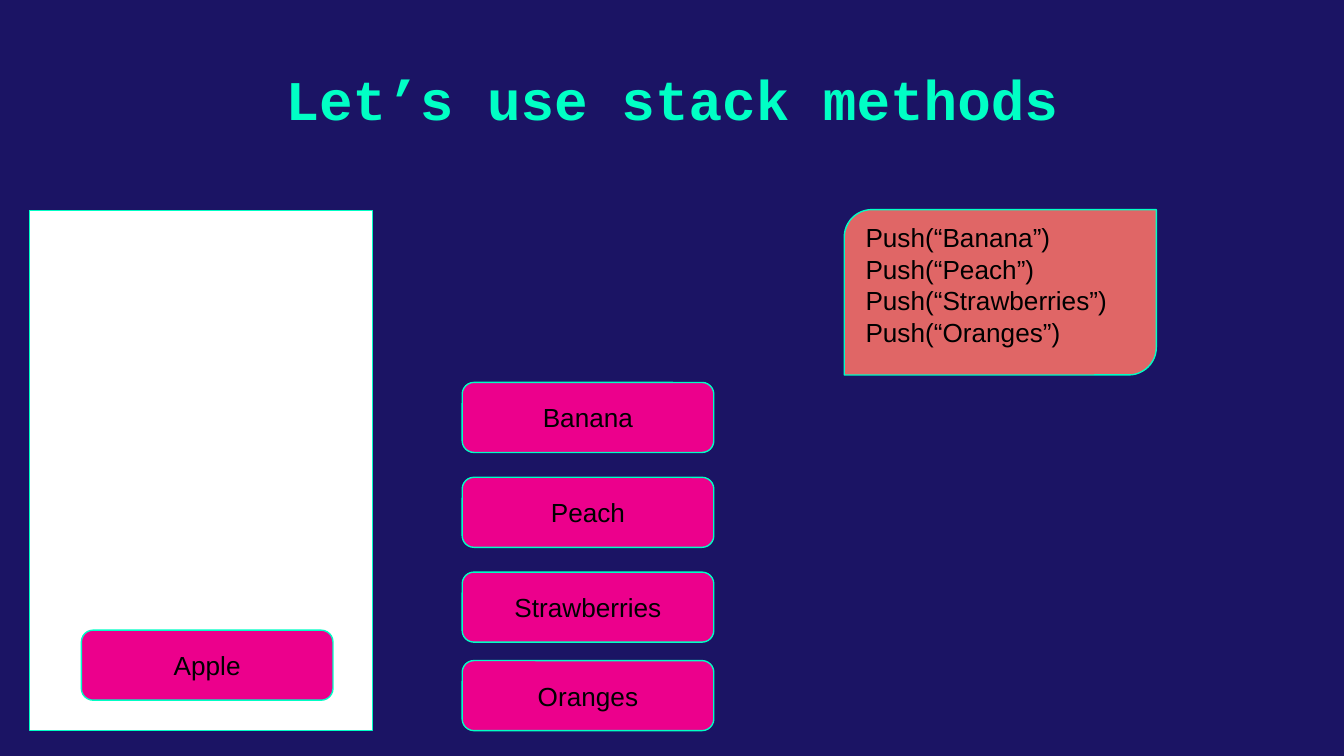
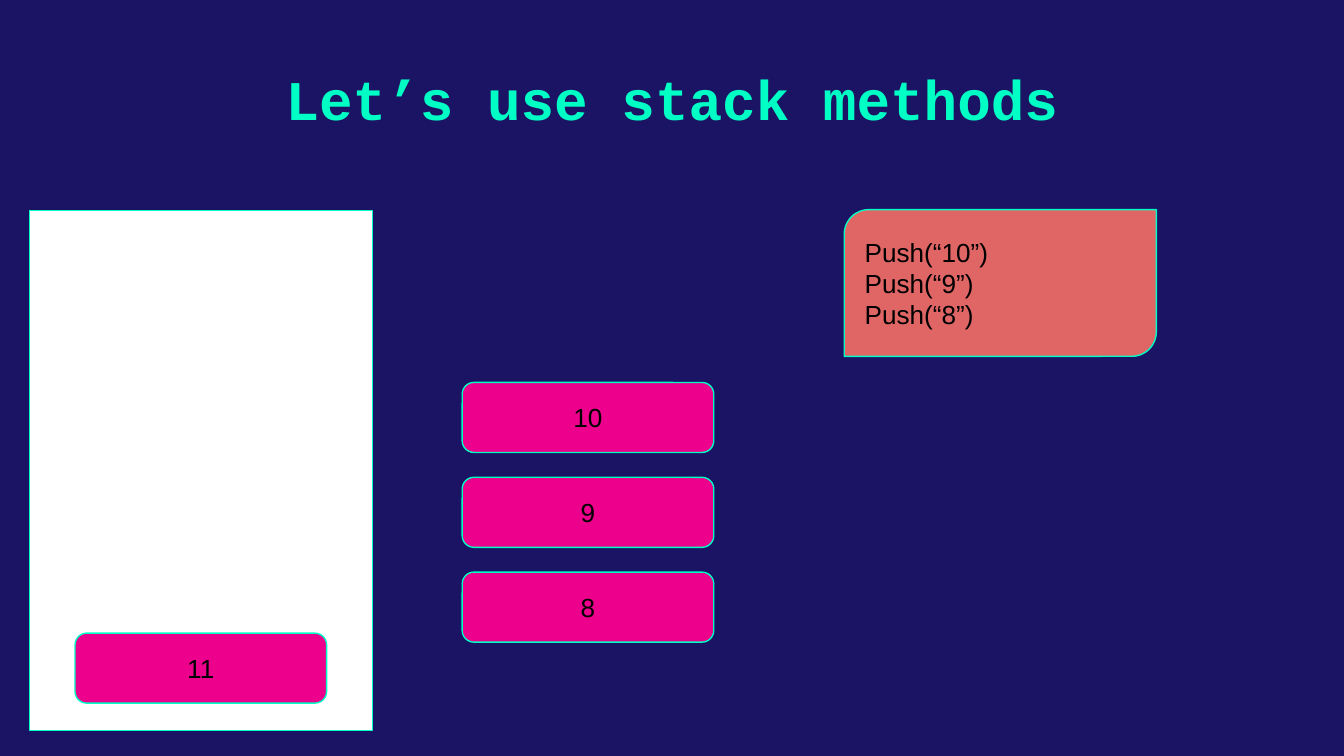
import pptx
import pptx.util
import pptx.dml.color
import pptx.enum.shapes
import pptx.enum.text

Pt = pptx.util.Pt
RGB = pptx.dml.color.RGBColor
KIND = pptx.enum.shapes.MSO_SHAPE
ALIGN = pptx.enum.text.PP_ALIGN
ANCHOR = pptx.enum.text.MSO_ANCHOR

TITLE = "Let’s use stack methods"
DECKS = [
    {
        "base": ("Apple", 43.6, 337.6),
        "items": ["Banana", "Peach", "Strawberries", "Oranges"],
        "tall": 88.6,
        "anchor": ANCHOR.TOP,
        "inset": 2.2,
    },
    {
        "base": ("11", 40.2, 339.2),
        "items": ["10", "9", "8"],
        "tall": 78.6,
        "anchor": ANCHOR.MIDDLE,
        "inset": 7.2,
    },
]

NAVY = RGB(0x1B, 0x14, 0x64)
MINT = RGB(0x00, 0xFF, 0xC5)
PINK = RGB(0xEC, 0x00, 0x8C)
CORAL = RGB(0xE0, 0x66, 0x66)
WHITE = RGB(0xFF, 0xFF, 0xFF)
BLACK = RGB(0x00, 0x00, 0x00)

FRAME = (15.8, 112.8, 183.6, 278.6)
ITEM_X, ITEM_Y, STEP = 247.6, 204.9, 50.8
WIDE, HIGH = 134.8, 37.5
FLOOR = FRAME[1] + FRAME[3]


def write(shape, lines, font, size, color, align, anchor, top=7.2, bold=False):
    frame = shape.text_frame
    frame.word_wrap = True
    frame.vertical_anchor = anchor
    frame.margin_left = frame.margin_right = frame.margin_bottom = Pt(7.2)
    frame.margin_top = Pt(top)
    for num, line in enumerate(lines):
        para = frame.add_paragraph() if num else frame.paragraphs[0]
        para.alignment = align
        run = para.add_run()
        run.text = line
        run.font.name = font
        run.font.size = Pt(size)
        run.font.bold = bold
        run.font.color.rgb = color


def draw(slide, kind, box, fill):
    shape = slide.shapes.add_shape(kind, *map(Pt, box))
    shape.shadow.inherit = False
    shape.fill.solid()
    shape.fill.fore_color.rgb = fill
    shape.line.color.rgb = MINT
    shape.line.width = Pt(0.75)
    return shape


def add_item(slide, text, left, top):
    item = draw(slide, KIND.ROUNDED_RECTANGLE, (left, top, WIDE, HIGH), PINK)
    write(item, [text], "Arial", 14, BLACK, ALIGN.CENTER, ANCHOR.MIDDLE)


def add_slide(deck, data):
    slide = deck.slides.add_slide(deck.slide_layouts[6])
    slide.background.fill.solid()
    slide.background.fill.fore_color.rgb = NAVY
    title = slide.shapes.add_textbox(*map(Pt, (100.8, 27.4, 518.4, 52.6)))
    write(title, [TITLE], "Courier New", 30, MINT, ALIGN.CENTER, ANCHOR.TOP, bold=True)

    draw(slide, KIND.FLOWCHART_PROCESS, FRAME, WHITE)
    add_item(slide, *data["base"])
    for num, text in enumerate(data["items"]):
        top = min(ITEM_Y + num * STEP, FLOOR - HIGH)
        add_item(slide, text, ITEM_X, top)

    calls = [f"Push(“{text}”)" for text in data["items"]]
    note = draw(slide, KIND.ROUND_2_DIAG_RECTANGLE, (452.3, 112.3, 167.2, data["tall"]), CORAL)
    write(note, calls, "Arial", 14, BLACK, ALIGN.LEFT, data["anchor"], data["inset"])


def main():
    deck = pptx.Presentation()
    deck.slide_width, deck.slide_height = Pt(720), Pt(405)
    for data in DECKS:
        add_slide(deck, data)
    deck.save("out.pptx")


if __name__ == "__main__":
    main()
